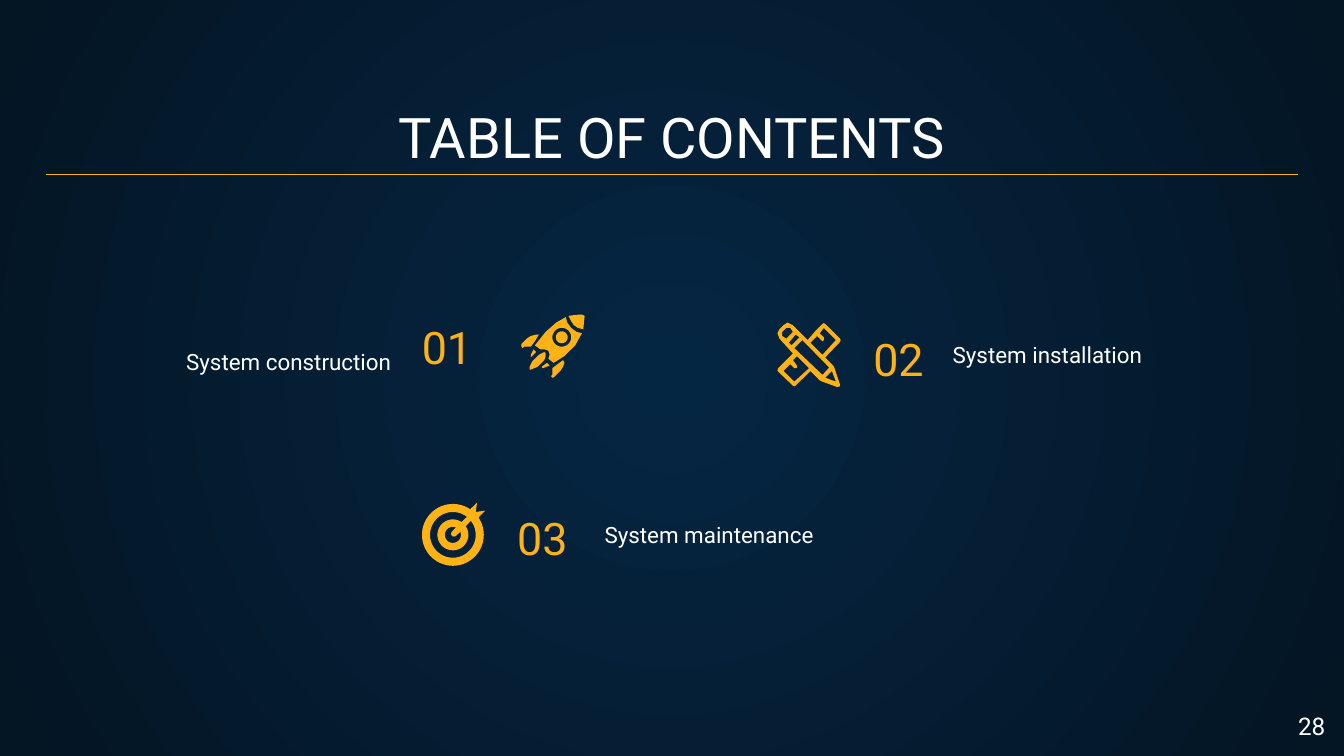
"""Build a table of contents slide with three numbered, icon-marked sections."""
import math

from lxml import etree
from pptx import Presentation
from pptx import util as u
from pptx.dml.color import RGBColor
from pptx.enum import shapes, text
from pptx.oxml.ns import qn

CELL = u.Inches(0.1)
COLUMNS, ROWS = 100, 56.25
ICON_UNIT = CELL / 10
FONT = "Roboto"
COLORS = {"center": "052643", "edge": "041523", "gold": "FFB215", "white": "FFFFFF"}
LEFT, CENTER, RIGHT = text.PP_ALIGN.LEFT, text.PP_ALIGN.CENTER, text.PP_ALIGN.RIGHT


def color(name):
    """Return a named palette colour."""
    return RGBColor.from_string(COLORS[name])


def cells(*counts):
    """Convert grid cells to slide lengths."""
    return [u.Emu(round(count * CELL)) for count in counts]


def arc(center, radius, start=0, end=360, steps=60):
    """Return points along a circular arc, angles in degrees."""
    angles = [math.radians(start + (end - start) * i / steps) for i in range(steps + 1)]
    return [(center[0] + radius * math.cos(a), center[1] + radius * math.sin(a)) for a in angles]


def target_parts():
    """Return the outlines of a target hit by an arrow."""
    hub = (23, 24)
    disc = arc(hub, 23, -34, 304) + [(41, 0), (40, 7), (47, 6)]
    ring = arc(hub, 17, -38, 308) + arc(hub, 11.5, 304, -34)
    bullseye = arc(hub, 6, -22, 292) + [(22, 22), (21.6, 23.5), (22.5, 25), (24, 25.3), (25, 25)]
    return [[disc, ring, bullseye]]


def rocket_parts():
    """Return the outlines of a rocket in flight."""
    window = (30, 17)
    body = [(33, 2), (26, 6), (18, 13), (10, 23), (14, 26), (17, 26), (20, 27), (21, 30),
            (20, 33), (24, 36), (32, 31), (40, 23), (45, 14), (41, 13), (37, 10), (34, 6)]
    nose = [(43, 0), (35, 1), (37, 5), (39, 8), (42, 10), (46, 11), (47, 1), (45, 0)]
    left_fin = [(11, 15), (7, 16), (4, 18), (0, 22), (0, 24), (1, 25), (2, 24), (6, 24),
                (7, 24), (10, 20), (13, 15)]
    right_fin = [(31, 34), (23, 40), (23, 45), (22, 46), (23, 47), (24, 47), (25, 46),
                 (29, 42), (31, 39), (32, 36)]
    flame = [(17, 28), (13, 30), (8, 35), (6, 39), (6, 41), (7, 41), (12, 39), (17, 34),
             (18, 31), (18, 29)]
    sparks = [[(9, 26), (7, 30), (7, 32), (11, 28)], [(19, 36), (15, 39), (16, 40), (21, 38)]]
    solids = [nose, left_fin, right_fin, flame, *sparks, arc(window, 4.4)]
    return [[body, arc(window, 7)]] + [[outline] for outline in solids]


def tools_parts():
    """Return the outlines of a pencil crossing a ruler."""
    outer = [(8, 0), (5, 2), (2, 5), (0.5, 8), (2, 12), (12, 23), (8, 27), (1, 34), (0.5, 35.5),
             (1, 36.5), (12, 47), (13, 47.5), (14, 47), (25, 36), (32, 43), (34, 44), (45, 48),
             (47, 47.5), (47, 46), (43, 34), (42, 32), (36, 26), (47, 14.5), (47.5, 13), (47, 12),
             (36, 1), (35, 0.5), (34, 1), (29, 6), (23, 13), (12, 2)]
    eraser = [(9, 4), (10, 4), (12, 7), (7, 12), (4, 10), (4, 7), (7, 4)]
    band = [(14, 9), (17, 11), (11, 17), (9, 15)]
    shaft = [(19, 13), (39, 33.5), (34, 39), (13, 19)]
    tip = [(41, 36), (44, 44), (36, 41)]
    upper_ruler = [(35, 4), (44, 13), (34, 24), (25, 15), (30, 10), (33, 13), (34, 14),
                   (35, 13), (35, 11), (32, 8)]
    lower_ruler = [(15, 25), (24, 34), (13, 44), (5, 36), (10, 31), (13, 34), (14, 34),
                   (15, 34), (15, 32), (12, 28)]
    return [[outer, eraser, band, shaft, tip, upper_ruler, lower_ruler]]


def add_icon(slide, column, row, parts):
    """Draw an icon whose inner outlines are holes."""
    owner = slide.shapes.add_group_shape() if len(parts) > 1 else slide
    origin = cells(column, row)
    for outlines in parts:
        builder = None
        for outline in outlines:
            points = [(x * ICON_UNIT, y * ICON_UNIT) for x, y in outline]
            if builder is None:
                builder = owner.shapes.build_freeform(*points[0])
            else:
                builder.move_to(*points[0])
            builder.add_line_segments(points[1:], close=True)
        shape = builder.convert_to_shape(*origin)
        shape.shadow.inherit = False
        shape.fill.solid()
        shape.fill.fore_color.rgb = color("gold")
        shape.line.fill.background()


def add_text(slide, box, words, size, tint="white", align=LEFT, anchor=text.MSO_ANCHOR.BOTTOM):
    """Add one line of text in a box given in grid cells."""
    frame = slide.shapes.add_textbox(*cells(*box)).text_frame
    frame.word_wrap = True
    frame.vertical_anchor = anchor
    frame.margin_left = frame.margin_right = frame.margin_top = frame.margin_bottom = CELL
    paragraph = frame.paragraphs[0]
    paragraph.text = words
    paragraph.alignment = align
    paragraph.font.name = FONT
    paragraph.font.size = u.Pt(size)
    paragraph.font.color.rgb = color(tint)


def add_rule(slide, row, margin):
    """Add a horizontal gold line between the side margins."""
    line = slide.shapes.add_connector(
        shapes.MSO_CONNECTOR.STRAIGHT, *cells(margin, row, COLUMNS - margin, row))
    line.line.color.rgb = color("gold")
    line.line.width = u.Pt(0.75)
    etree.SubElement(line._element.spPr, qn("a:effectLst"))


def set_background(slide):
    """Fill the slide with a gradient spreading from its centre."""
    fill = slide.background.fill
    fill.gradient()
    for stop, name in zip(fill.gradient_stops, ("center", "edge")):
        stop.color.rgb = color(name)
    gradient = slide._element.find(".//" + qn("a:gradFill"))
    linear = gradient.find(qn("a:lin"))
    circle = etree.Element(qn("a:path"), path="circle")
    middle = dict.fromkeys("ltrb", "50000")
    etree.SubElement(circle, qn("a:fillToRect"), middle)
    gradient.replace(linear, circle)


def add_section(slide, number, number_box, name, name_box, align, icon, icon_at):
    """Add a section's number, name and icon."""
    add_text(slide, number_box, number, 24, "gold")
    add_text(slide, name_box, name, 12, align=align)
    add_icon(slide, *icon_at, icon)


def main():
    """Build and save the slide."""
    presentation = Presentation()
    presentation.slide_width, presentation.slide_height = cells(COLUMNS, ROWS)
    slide = presentation.slides.add_slide(presentation.slide_layouts[6])
    set_background(slide)
    add_text(slide, (3.4, 7, 93.2, 6.6), "TABLE OF CONTENTS", 30, align=CENTER)
    add_rule(slide, 13, 3.4)
    sections = [
        ("01", (30.4, 22.2, 12.9, 6.6), "System construction", (7.4, 25, 22.7, 3.9),
         RIGHT, rocket_parts(), (38.8, 23.4)),
        ("02", (64, 23.1, 6.4, 6.6), "System installation", (69.9, 24.8, 22.7, 3.6),
         LEFT, tools_parts(), (57.8, 24)),
        ("03", (37.5, 36.4, 6.4, 6.6), "System maintenance", (44, 38.2, 22.7, 3.6),
         LEFT, target_parts(), (31.4, 37.4)),
    ]
    for section in sections:
        add_section(slide, *section)
    add_text(slide, (93.6, 51.9, 6, 4.3), "28", 13, align=RIGHT, anchor=text.MSO_ANCHOR.TOP)
    presentation.save("out.pptx")


main()
